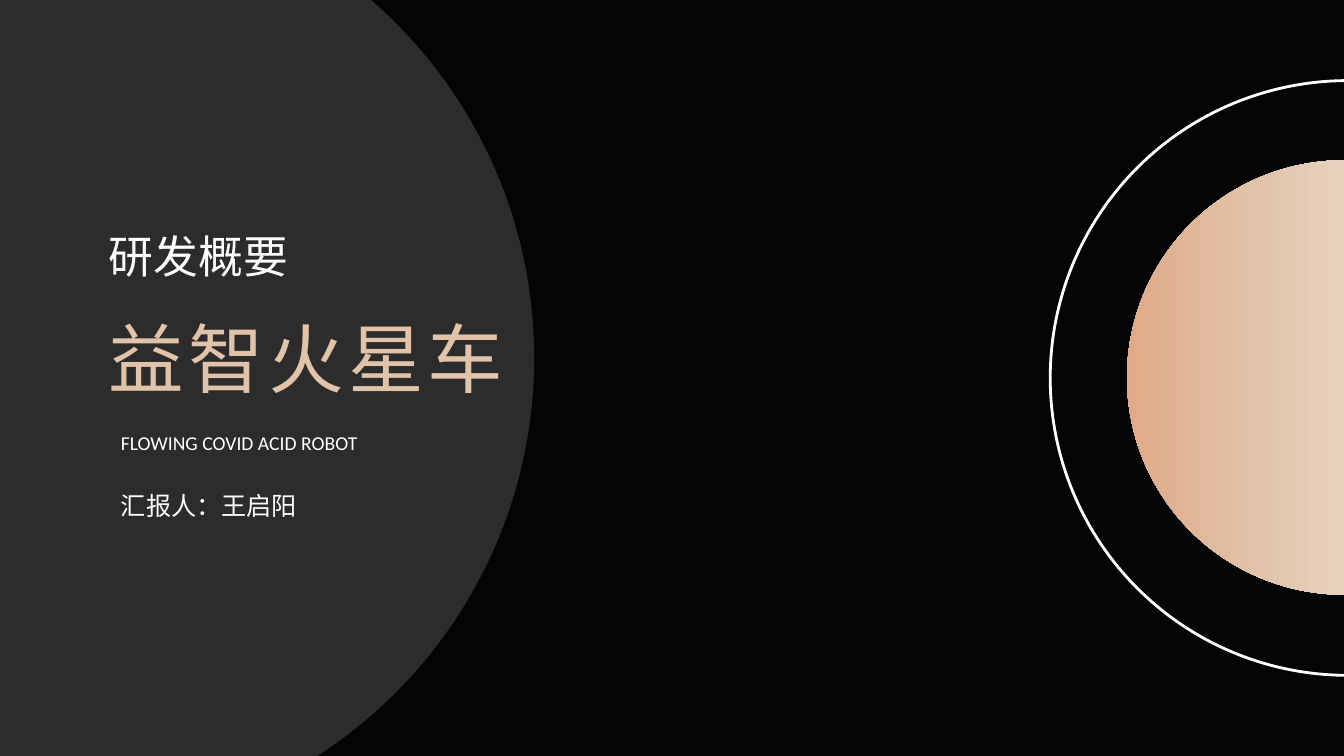
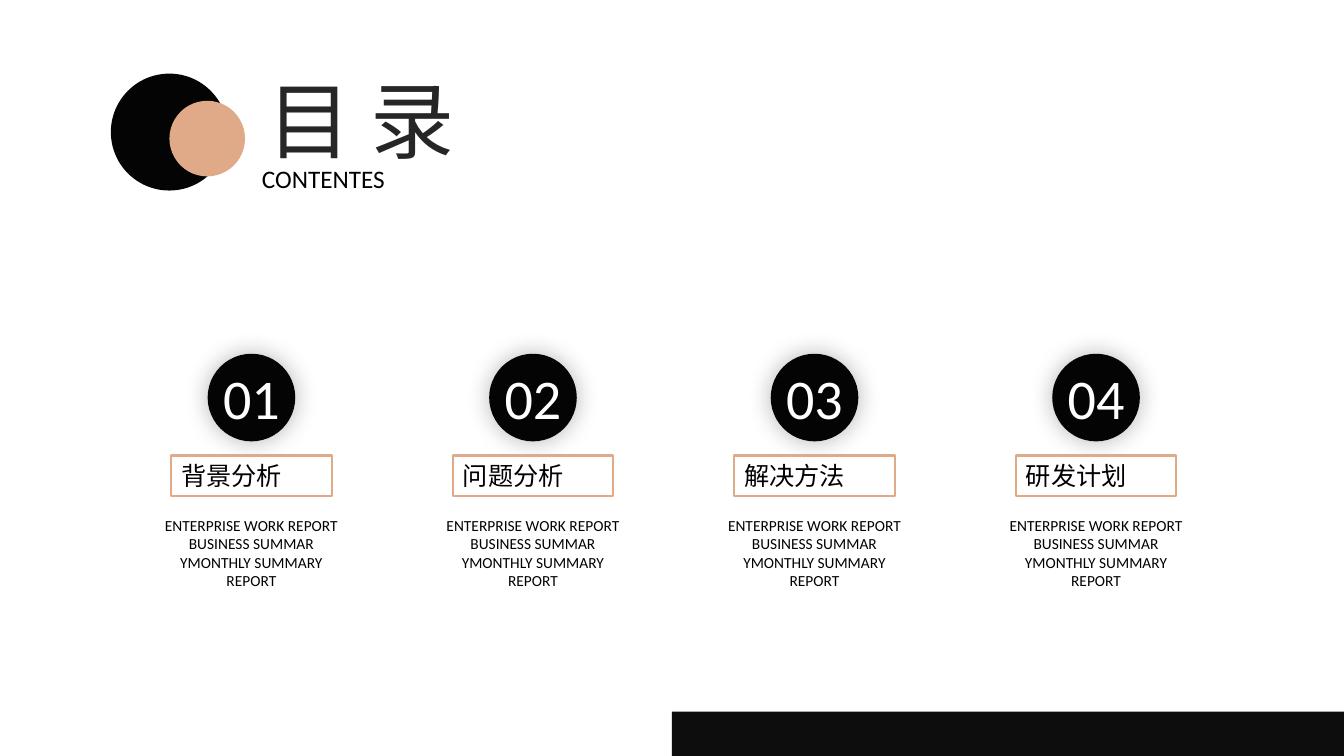
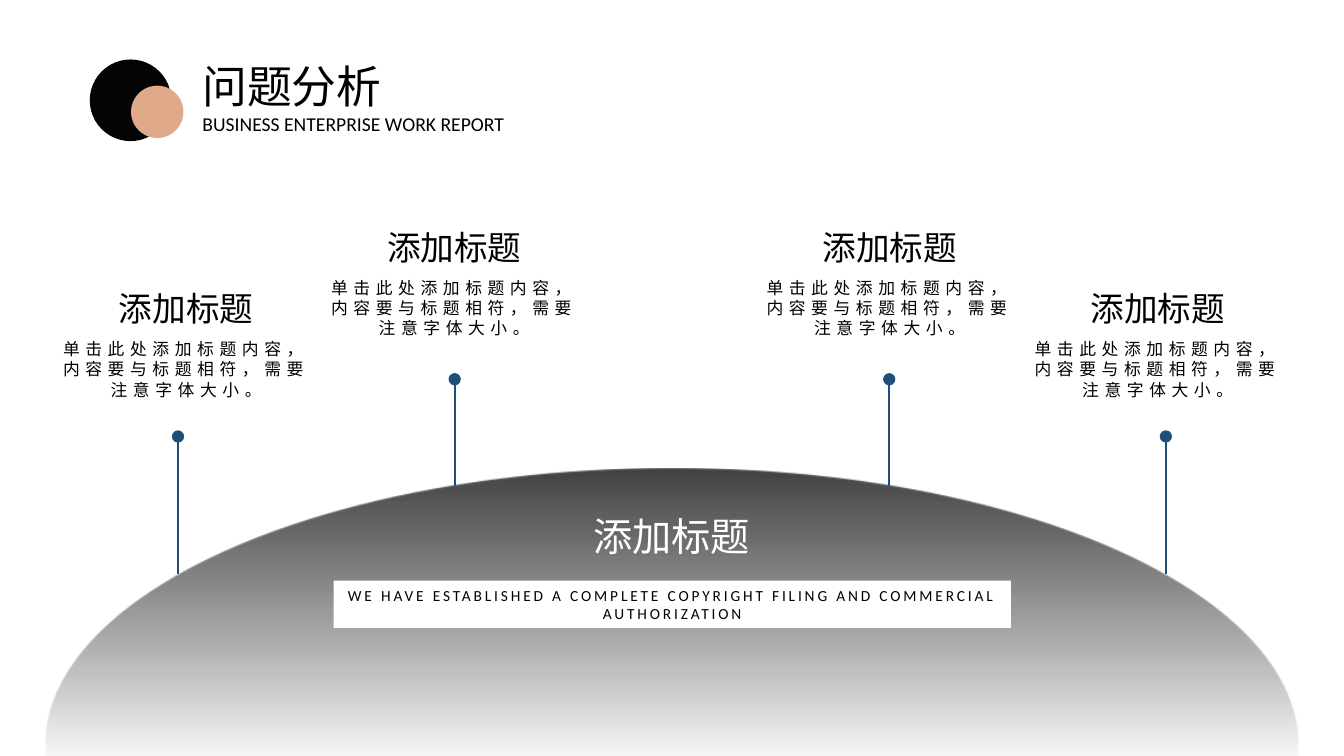
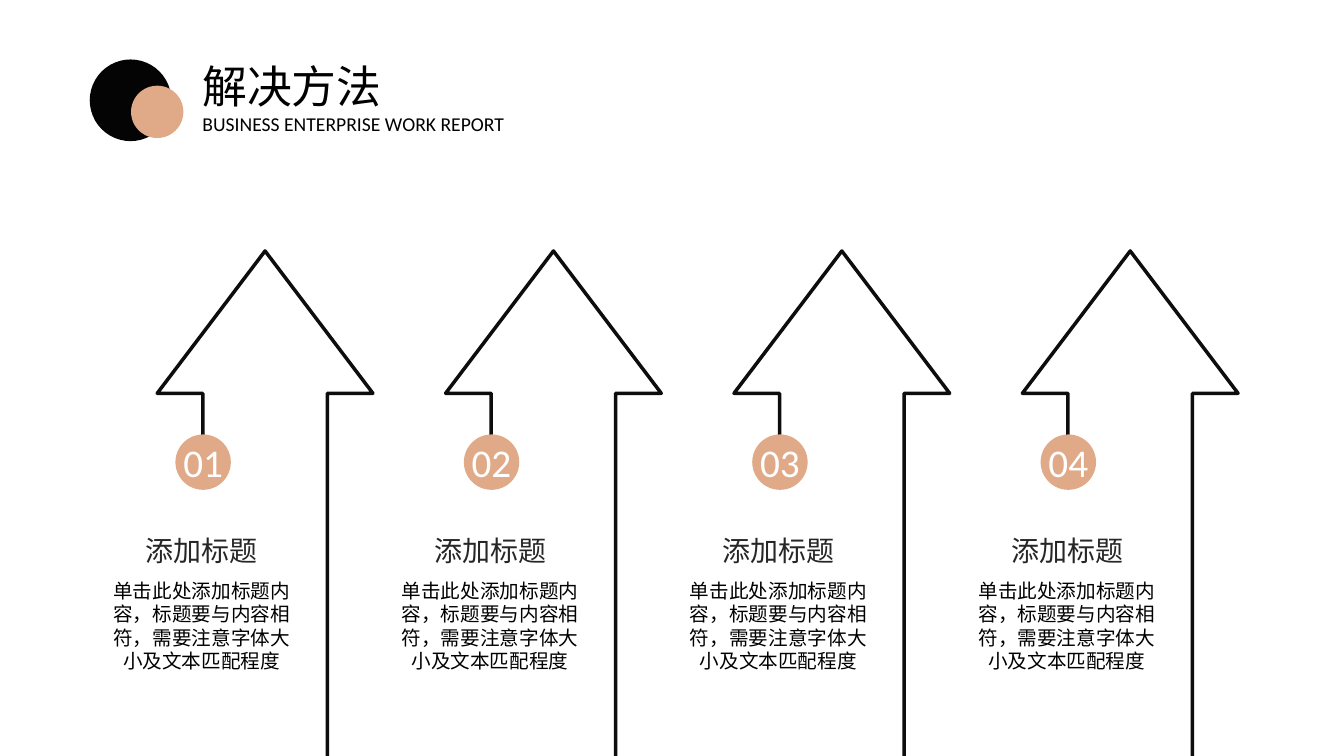
from lxml.etree import SubElement
from pptx import Presentation
from pptx.dml.color import RGBColor
from pptx.enum.shapes import MSO_CONNECTOR, MSO_SHAPE
from pptx.enum.text import MSO_ANCHOR, PP_ALIGN
from pptx.oxml.ns import qn
from pptx.util import Pt

FONT = "Calibri"
BLACK = RGBColor(0x00, 0x00, 0x00)
INK = RGBColor(0x04, 0x04, 0x04)
BAND = RGBColor(0x0D, 0x0D, 0x0D)
CHARCOAL = RGBColor(0x26, 0x26, 0x26)
WHITE = RGBColor(0xFF, 0xFF, 0xFF)
ICE = RGBColor(0xF9, 0xFC, 0xFD)
SAND = RGBColor(0xE1, 0xC3, 0xA9)
COPPER = RGBColor(0xE0, 0xAA, 0x88)
NAVY = RGBColor(0x1F, 0x4E, 0x79)

CENTER, JUSTIFY, LEFT = PP_ALIGN.CENTER, PP_ALIGN.JUSTIFY, PP_ALIGN.LEFT
SLIDE_WIDTH, SLIDE_HEIGHT = 960, 540
MIDDLE = SLIDE_WIDTH / 2


def draw(slide, kind, box, fill=None, line=None, line_width=1, stops=(), angle=0):
    """Add a preset shape; stops are (percent, colour, opacity percent)."""
    shape = slide.shapes.add_shape(kind, *map(Pt, box))
    shape.shadow.inherit = False
    if stops:
        shape.fill.gradient()
        shape.fill.gradient_angle = angle
        stop_list = shape._element.spPr.find(".//" + qn("a:gsLst"))
        for old_stop in list(stop_list):
            stop_list.remove(old_stop)
        for position, color, opacity in stops:
            stop = SubElement(stop_list, qn("a:gs"), pos=str(position * 1000))
            tint = SubElement(stop, qn("a:srgbClr"), val=str(color))
            SubElement(tint, qn("a:alpha"), val=str(opacity * 1000))
    elif fill is not None:
        shape.fill.solid()
        shape.fill.fore_color.rgb = fill
    else:
        shape.fill.background()
    if line is not None:
        shape.line.color.rgb = line
        shape.line.width = Pt(line_width)
    else:
        shape.line.fill.background()
    return shape


def write(slide, target, text, size, color, align=LEFT, spacing=0, wrap=True):
    """Put text into a shape, or into a new text box when target is a box."""
    if isinstance(target, tuple):
        target = slide.shapes.add_textbox(*map(Pt, target))
    else:
        target.text_frame.vertical_anchor = MSO_ANCHOR.MIDDLE
    frame = target.text_frame
    frame.word_wrap = wrap
    frame.text = text
    paragraph = frame.paragraphs[0]
    paragraph.alignment = align
    paragraph.font.name = FONT
    paragraph.font.size = Pt(size)
    paragraph.font.color.rgb = color
    if spacing:
        paragraph.runs[0].font._element.set("spc", str(spacing * 100))


prs = Presentation()
prs.slide_width, prs.slide_height = Pt(SLIDE_WIDTH), Pt(SLIDE_HEIGHT)
cover, contents, problems, solutions = [
    prs.slides.add_slide(prs.slide_layouts[6]) for _ in range(4)
]
for slide in prs.slides:
    slide.background.fill.solid()
    slide.background.fill.fore_color.rgb = INK if slide is cover else WHITE
cover.background.fill.fore_color.rgb = INK

# Shared headings: overlapping discs, title and English subtitle
SMALL_DISCS = (64.1, 42.5, 58.3), (93.6, 61.2, 37.4)
LARGE_DISCS = (79.2, 52.6, 83.5), (121, 72, 54)
SECTION_TITLE = (137.5, 38.2, 194.4, 46), 32, BLACK
SECTION_SUBTITLE = (137.5, 76.3, 290.9, 24.5), 14, BLACK
REPORT = "BUSINESS ENTERPRISE WORK REPORT"
headings = [
    (contents, LARGE_DISCS, "目 录", ((184.3, 45.4, 177.8, 79.9), 60, CHARCOAL),
     "CONTENTES", ((180, 113, 186.5, 28.8), 18, BLACK)),
    (problems, SMALL_DISCS, "问题分析", SECTION_TITLE, REPORT, SECTION_SUBTITLE),
    (solutions, SMALL_DISCS, "解决方法", SECTION_TITLE, REPORT, SECTION_SUBTITLE),
]
for slide, discs, title, title_style, subtitle, subtitle_style in headings:
    for (left, top, diameter), color in zip(discs, (INK, COPPER)):
        draw(slide, MSO_SHAPE.OVAL, (left, top, diameter, diameter), color)
    for text, (box, size, color) in ((title, title_style), (subtitle, subtitle_style)):
        write(slide, box, text, size, color, JUSTIFY)

# Cover
backdrop = draw(cover, MSO_SHAPE.OVAL, (-295.2, -82.8, 676.8, 676.8), WHITE)
backdrop_color = backdrop._element.spPr.find(qn("a:solidFill"))[0]
SubElement(backdrop_color, qn("a:alpha"), val="16000")
draw(cover, MSO_SHAPE.OVAL, (805, 114.5, 310.3, 310.3), angle=180,
     stops=[(0, ICE, 100), (70, SAND, 100), (100, COPPER, 100)])
draw(cover, MSO_SHAPE.OVAL, (750.2, 57.6, 424.8, 424.8), line=WHITE, line_width=2)
write(cover, (70.6, 159.8, 346.3, 46), "研发概要", 32, WHITE)
write(cover, (70.6, 218.9, 591.8, 72.7), "益智火星车", 54, SAND, spacing=3)
write(cover, (79.2, 304.6, 401, 24.5), "FLOWING COVID ACID ROBOT", 14, WHITE, JUSTIFY)
write(cover, (79.2, 347, 165, 28.8), "汇报人：王启阳", 18, WHITE)

# Contents
for index, chapter in enumerate(("背景分析", "问题分析", "解决方法", "研发计划")):
    center = 179.64 + 201.1 * index
    badge = draw(contents, MSO_SHAPE.OVAL, (center - 31.3, 252.7, 62.6, 62.6), INK)
    halo = SubElement(badge._element.spPr.find(qn("a:effectLst")), qn("a:outerShdw"),
                      blurRad=str(Pt(17)), dist="0", dir="0", algn="ctr", rotWithShape="0")
    halo_color = SubElement(halo, qn("a:srgbClr"), val=str(BLACK))
    SubElement(halo_color, qn("a:alpha"), val="28000")
    write(contents, badge, f"{index + 1:02}", 40, WHITE, CENTER, wrap=False)
    frame = draw(contents, MSO_SHAPE.RECTANGLE, (center - 57.25, 325.4, 114.5, 28.8),
                 line=COPPER, line_width=1.5)
    write(contents, frame, chapter, 18, BLACK, JUSTIFY)
    write(contents, (center - 69.5, 365, 139, 60.5),
          "ENTERPRISE WORK REPORT BUSINESS SUMMAR YMONTHLY SUMMARY REPORT",
          11, BLACK, CENTER)
draw(contents, MSO_SHAPE.RECTANGLE, (MIDDLE, 508.3, MIDDLE, 31.7), BAND)

# Problem analysis
draw(problems, MSO_SHAPE.OVAL, (32.4, 334.8, 895, 395.3), angle=90,
     stops=[(0, ICE, 0), (46, INK, 0), (77, INK, 44), (100, INK, 75)])
write(problems, (397.4, 362.2, 165, 41), "添加标题", 28, WHITE, CENTER)
banner = draw(problems, MSO_SHAPE.RECTANGLE, (238.3, 414.7, 483.8, 33.8), WHITE)
write(problems, banner,
      "WE HAVE ESTABLISHED A COMPLETE COPYRIGHT FILING AND COMMERCIAL AUTHORIZATION",
      11, BLACK, CENTER, spacing=2)
DOT = 8.8
# Distance of pin and caption from the middle, then heights of dot, pin foot and caption
pins = [(352.8, 347, 311.8, 409.7, 202.3), (155.2, 155.5, 270.9, 347, 158.6)]
for pin_offset, caption_offset, dot_y, foot_y, caption_top in pins:
    for side in (-1, 1):
        pin_x = MIDDLE + side * pin_offset
        caption_x = MIDDLE + side * caption_offset
        pin = problems.shapes.add_connector(
            MSO_CONNECTOR.STRAIGHT, Pt(pin_x), Pt(foot_y), Pt(pin_x), Pt(dot_y))
        pin.line.color.rgb = NAVY
        pin.line.width = Pt(1.25)
        SubElement(pin._element.spPr, qn("a:effectLst"))
        draw(problems, MSO_SHAPE.OVAL, (pin_x - DOT / 2, dot_y - DOT / 2, DOT, DOT), NAVY)
        write(problems, (caption_x - 67, caption_top, 134, 36),
              "添加标题", 24, BLACK, CENTER)
        write(problems, (caption_x - 99, caption_top + 36.3, 198, 51.1),
              "单击此处添加标题内容，内容要与标题相符，需要注意字体大小。",
              12, BLACK, CENTER, spacing=4)

# Solutions
for index in range(4):
    shift = 206 * index
    arrow = draw(solutions, MSO_SHAPE.UP_ARROW, (112.3 + shift, 179.3, 154.1, 396),
                 WHITE, BAND, 2.5)
    arrow.adjustments[0], arrow.adjustments[1] = 0.577, 0.66
    draw(solutions, MSO_SHAPE.RECTANGLE, (76.3 + shift, 333.4, 126, 267), WHITE)
    badge = draw(solutions, MSO_SHAPE.OVAL, (125.3 + shift, 310.3, 39.6, 39.6), COPPER)
    write(solutions, badge, f"{index + 1:02}", 28, WHITE, CENTER, wrap=False)
    write(solutions, (95 + shift, 377.3, 98.6, 31.7), "添加标题", 20, CHARCOAL, CENTER)
    write(solutions, (67 + shift, 409.7, 154.1, 74.9),
          "单击此处添加标题内容，标题要与内容相符，需要注意字体大小及文本匹配程度",
          14, BLACK, CENTER)

prs.save("out.pptx")
